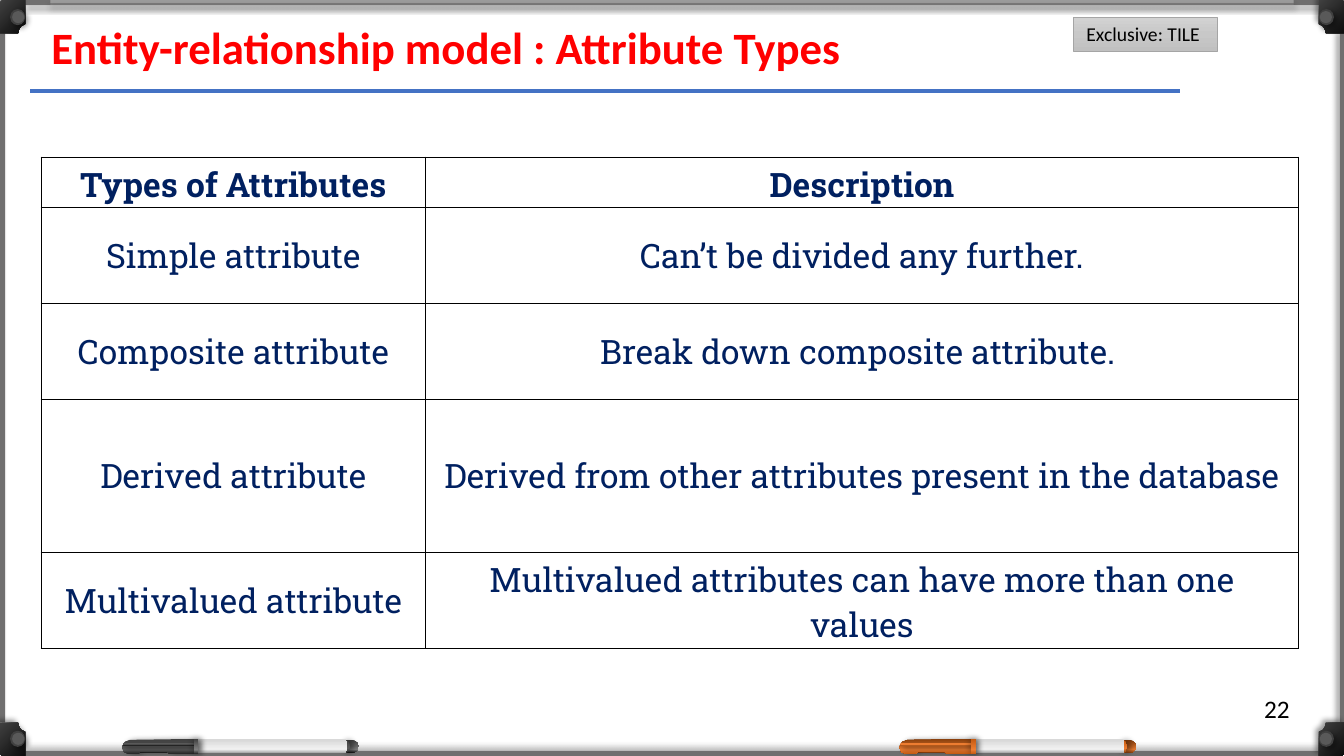
from dataclasses import dataclass

from lxml import etree
from pptx import Presentation
from pptx import util as u
from pptx.dml.color import RGBColor
from pptx.enum import shapes, text
from pptx.oxml.ns import qn

PX = 9144  # EMU per px, 100 px to the inch
WIDTH, HEIGHT = 1333, 750
KIND = shapes.MSO_SHAPE


@dataclass(frozen=True)
class Theme:
    sans: str = "Calibri"
    slab: str = "Roboto Slab"
    title: str = "FF0000"
    ink: str = "000000"
    cell: str = "002060"
    rule: str = "4472C4"
    frame: str = "706F6F"
    gloss: str = "D9D9D9"
    bolt: str = "404040"
    bolt_head: str = "595959"
    badge_line: str = "A5A5A5"
    badge: tuple = ((0, "D2D2D2"), (50, "C8C8C8"), (100, "C0C0C0"))
    corner: tuple = ((0, "404040"), (100, "0D0D0D"))
    barrel: tuple = ((8, "D9D9D9"), (74, "F2F2F2"), (100, "A6A6A6"))
    title_pt: int = 32
    cell_pt: int = 24
    number_pt: int = 18
    badge_pt: int = 14


THEME = Theme()

BLACK_PEN = {
    "tip": ((0, "404040"), (74, "808080"), (100, "0D0D0D")),
    "collar": ((0, "404040"), (67, "595959"), (100, "262626")),
    "under": ((71, "0D0D0D"), (100, "404040")),
    "cap": ((0, "404040"), (73, "595959"), (100, "262626")),
    "clip": ((32, "595959"), (71, "404040"), (100, "0D0D0D")),
    "ring": ((0, "404040"), (73, "808080"), (100, "262626")),
}
ORANGE_PEN = {
    "tip": ((0, "843C0B"), (74, "ED7D31"), (100, "843C0B")),
    "collar": ((0, "C55A11"), (67, "ED7D31"), (100, "843C0B")),
    "under": ((71, "843C0B"), (100, "C55A11")),
    "cap": ((0, "843C0B"), (73, "ED7D31"), (100, "C55A11")),
    "clip": ((32, "ED7D31"), (71, "ED7D31"), (100, "843C0B")),
    "ring": ((0, "C55A11"), (73, "ED7D31"), (100, "C55A11")),
}
CAP_OUTLINE = [(75, 0), (8, 1), (3, 3), (0, 8), (2, 13), (7, 15), (16, 15),
               (18, 13), (45, 13), (47, 15), (75, 15)]
CORNER_OUTLINE = [(0, 33), (0, 2), (2, 0), (25, 0), (25, 24), (21, 26), (19, 29), (18, 33)]

ATTRIBUTE_ROWS = [
    ("Types of Attributes", "Description"),
    ("Simple attribute", "Can’t be divided any further."),
    ("Composite attribute", "Break down composite attribute. "),
    ("Derived attribute", "Derived from other attributes present in the database"),
    ("Multivalued attribute", "Multivalued attributes can have more than one values"),
]


def px(*lengths):
    return [u.Emu(length * PX) for length in lengths]


def add_color(parent, color, alpha=100):
    node = etree.SubElement(parent, qn("a:srgbClr"), val=color)
    if alpha < 100:
        etree.SubElement(node, qn("a:alpha"), val=str(alpha * 1000))


def paint(shape, fill, angle=90, alpha=100, shadow=None, blur=4, distance=3):
    """Fill with one colour or a tuple of gradient stops; shadow is a direction in degrees."""
    properties = shape._element.spPr
    shape.line.fill.background()
    if isinstance(fill, str):
        shape.fill.solid()
        shape.fill.fore_color.rgb = RGBColor.from_string(fill)
        if alpha < 100:
            color = properties.find(qn("a:solidFill"))[0]
            etree.SubElement(color, qn("a:alpha"), val=str(alpha * 1000))
    else:
        shape.fill.gradient()
        shape.fill.gradient_angle = 360 - angle
        stops = properties.find(".//" + qn("a:gsLst"))
        stops[:] = []
        for place, color in fill:
            add_color(etree.SubElement(stops, qn("a:gs"), pos=str(place * 1000)), color)
    shape.shadow.inherit = False
    if shadow is not None:
        outer = etree.SubElement(
            properties.find(qn("a:effectLst")), qn("a:outerShdw"), blurRad=str(u.Pt(blur)),
            dist=str(u.Pt(distance)), dir=str(shadow * 60000), algn="ctr", rotWithShape="0")
        add_color(outer, THEME.ink, 40)
    return shape


def add_part(slide, kind, box, fill, **look):
    return paint(slide.shapes.add_shape(kind, *px(*box)), fill, **look)


def add_outline(slide, points, fill, **look):
    builder = slide.shapes.build_freeform(*points[0], scale=PX)
    builder.add_line_segments(points[1:])
    return paint(builder.convert_to_shape(), fill, **look)


def add_frame(slide):
    for box, direction in (((25, 0, 1308, 5), 90), ((0, 25, 5, 692), 180),
                           ((25, 745, 1284, 5), 270), ((1329, 33, 5, 692), 180)):
        add_part(slide, KIND.RECTANGLE, box, THEME.frame, shadow=direction)
    for thickness, alpha in ((5, 16), (3, 33)):
        add_part(slide, KIND.RECTANGLE, (50, 0, 1233, thickness), THEME.gloss,
                 alpha=alpha, shadow=90)


def add_corner(slide, right, bottom):
    """Mirror the top left corner piece and its bolt to the wanted corner."""
    def mirror(x, y, width=0, height=0):
        return (WIDTH - x - width if right else x, HEIGHT - y - height if bottom else y)

    add_outline(slide, [mirror(*point) for point in CORNER_OUTLINE], THEME.corner,
                angle=45, shadow=225)
    for box, color, direction in (((10, 9, 15, 16), THEME.bolt, 45),
                                  ((12, 11, 12, 12), THEME.bolt_head, None)):
        add_part(slide, KIND.OVAL, mirror(*box) + box[2:], color, shadow=direction)


def add_pen(slide, left, ink):
    top = 733
    add_part(slide, KIND.FLOWCHART_DELAY, (left + 218, top + 1, 17, 13), ink["tip"])
    add_part(slide, KIND.OVAL, (left + 215, top + 1, 11, 13), ink["collar"], shadow=0)
    add_part(slide, KIND.ROUNDED_RECTANGLE, (left + 74, top, 149, 14), THEME.barrel)
    add_part(slide, KIND.RECTANGLE, (left + 11, top + 11, 41, 3), ink["under"])
    add_outline(slide, [(left + x, top + y) for x, y in CAP_OUTLINE], ink["cap"], shadow=0)
    add_part(slide, KIND.ROUNDED_RECTANGLE, (left + 1, top + 4, 70, 3), ink["clip"], shadow=45)
    add_part(slide, KIND.ROUNDED_RECTANGLE, (left + 71, top, 5, 15), ink["ring"],
             shadow=0, blur=5, distance=0)


def style(paragraph, face, size, color, bold=False, align=text.PP_ALIGN.LEFT):
    paragraph.alignment = align
    paragraph.font.name, paragraph.font.size = face, u.Pt(size)
    paragraph.font.bold = bold
    paragraph.font.color.rgb = RGBColor.from_string(color)


def write_label(shape, words, size, color=THEME.ink, **look):
    frame = shape.text_frame
    frame.text = words
    frame.word_wrap = False
    frame.auto_size = text.MSO_AUTO_SIZE.SHAPE_TO_FIT_TEXT
    frame.vertical_anchor = text.MSO_ANCHOR.TOP
    style(frame.paragraphs[0], THEME.sans, size, color, **look)


def add_title(slide, words):
    title = slide.shapes.title
    title.left, title.top, title.width, title.height = px(41, 15, 813, 64)
    write_label(title, words, THEME.title_pt, THEME.title, bold=True)


def add_rule(slide):
    rule = slide.shapes.add_connector(shapes.MSO_CONNECTOR.STRAIGHT, *px(30, 90, 1170, 90))
    rule.line.color.rgb = RGBColor.from_string(THEME.rule)
    rule.line.width = u.Pt(3)
    etree.SubElement(rule._element.spPr, qn("a:effectLst"))


def add_badge(slide, words):
    badge = add_part(slide, KIND.RECTANGLE, (1065, 17, 142, 34), THEME.badge)
    badge.line.color.rgb = RGBColor.from_string(THEME.badge_line)
    badge.line.width = u.Pt(0.5)
    badge.text_frame.margin_left, badge.text_frame.margin_right = px(2, 2)
    write_label(badge, words, THEME.badge_pt, align=text.PP_ALIGN.CENTER)


def add_borders(cell):
    for side in ("a:lnL", "a:lnR", "a:lnT", "a:lnB"):
        border = etree.SubElement(cell._tc.get_or_add_tcPr(), qn(side), w=str(u.Pt(1)))
        add_color(etree.SubElement(border, qn("a:solidFill")), THEME.ink)


def add_attribute_table(slide):
    holder = slide.shapes.add_table(len(ATTRIBUTE_ROWS), 2, *px(41, 156, 1247, 487))
    table = holder.table
    table.horz_banding = False
    for column, width in zip(table.columns, px(381, 866)):
        column.width = width
    for row, height in zip(table.rows, px(38, 95, 95, 152, 95)):
        row.height = height
    holder.height = px(487)[0]
    for r, words in enumerate(ATTRIBUTE_ROWS):
        for c, entry in enumerate(words):
            cell = table.cell(r, c)
            cell.text = entry
            cell.vertical_anchor = text.MSO_ANCHOR.MIDDLE
            add_borders(cell)
            cell.fill.background()
            style(cell.text_frame.paragraphs[0], THEME.slab, THEME.cell_pt, THEME.cell,
                  bold=r == 0, align=text.PP_ALIGN.CENTER)


def main():
    deck = Presentation()
    deck.slide_width, deck.slide_height = px(WIDTH, HEIGHT)
    slide = deck.slides.add_slide(deck.slide_layouts[5])
    add_frame(slide)
    for right in (False, True):
        for bottom in (False, True):
            add_corner(slide, right, bottom)
    add_pen(slide, 121, BLACK_PEN)
    add_pen(slide, 892, ORANGE_PEN)
    write_label(slide.shapes.add_textbox(*px(1244, 683, 50, 40)), "22", THEME.number_pt)
    add_rule(slide)
    add_badge(slide, "Exclusive: TILE ")
    add_title(slide, "Entity-relationship model : Attribute Types")
    add_attribute_table(slide)
    deck.save("out.pptx")


if __name__ == "__main__":
    main()
